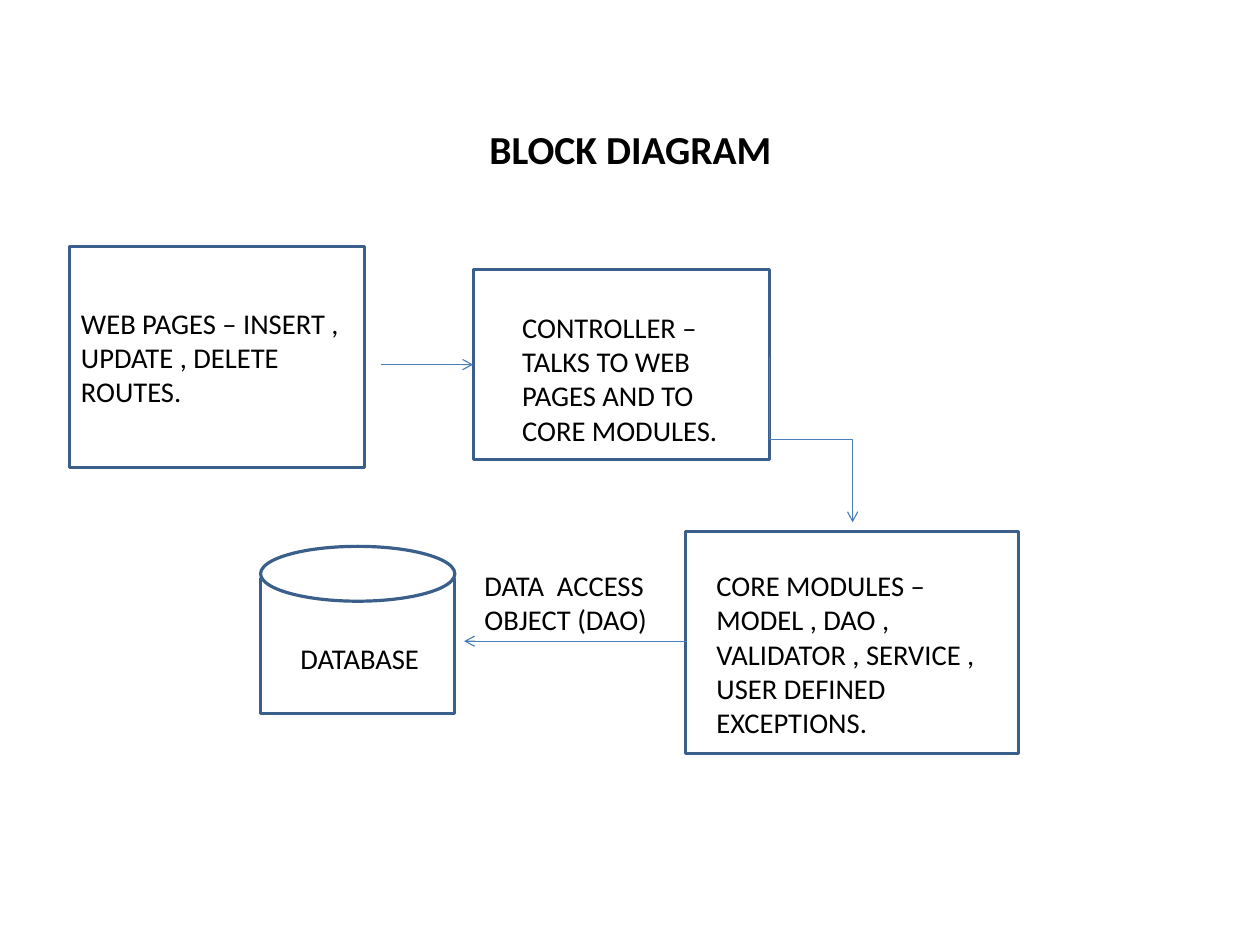
from lxml.etree import SubElement
from pptx import Presentation
from pptx.dml.color import RGBColor
from pptx.enum.shapes import MSO_CONNECTOR, MSO_SHAPE
from pptx.enum.text import MSO_ANCHOR, MSO_AUTO_SIZE, PP_ALIGN
from pptx.oxml.ns import qn
from pptx.util import Inches, Pt

CM_PER_INCH = 2.54
OUTLINE = "3A5F8B"
ARROW = "4A7EBB"


def paint(color_format, hex_color):
    """Set a colour from a hex string."""
    color_format.rgb = RGBColor.from_string(hex_color)


def write(holder, text, size=18, bold=False, color="000000", align=PP_ALIGN.LEFT,
          anchor=MSO_ANCHOR.TOP, inset=(0.1, 0.05), spacing=1.0):
    """Put formatted, wrapping text into a shape."""
    frame = holder.text_frame
    frame.word_wrap = True
    frame.auto_size = MSO_AUTO_SIZE.NONE
    frame.vertical_anchor = anchor
    frame.margin_left = frame.margin_right = Inches(inset[0])
    frame.margin_top = frame.margin_bottom = Inches(inset[1])
    paragraph = frame.paragraphs[0]
    paragraph.text = text
    paragraph.alignment = align
    paragraph.line_spacing = spacing
    for run in paragraph.runs:
        run.font.name = "Calibri"
        run.font.size = Pt(size)
        run.font.bold = bold
        paint(run.font.color, color)


def add_block(slide, box, kind=MSO_SHAPE.RECTANGLE):
    """Add a white outlined shape at left, top, width, height."""
    block = slide.shapes.add_shape(kind, *map(Inches, box))
    block.shadow.inherit = False
    block.fill.solid()
    paint(block.fill.fore_color, "FFFFFF")
    block.line.width = Pt(2)
    paint(block.line.color, OUTLINE)
    return block


def add_label(slide, box, text):
    """Add a text box at left, top, width, height."""
    write(slide.shapes.add_textbox(*map(Inches, box)), text)


def add_arrow(slide, start, end, kind=MSO_CONNECTOR.STRAIGHT, rotation=0):
    """Add a connector with an open arrowhead, turned by degrees."""
    arrow = slide.shapes.add_connector(kind, *map(Inches, start + end))
    arrow.line.width = Pt(0.75)
    paint(arrow.line.color, ARROW)
    properties = arrow._element.spPr
    if rotation:
        properties.find(qn("a:xfrm")).set("rot", str(rotation * 60000))
    SubElement(properties.find(qn("a:ln")), qn("a:tailEnd"), type="arrow")
    SubElement(properties, qn("a:effectLst"))


def add_title(slide, box, text):
    """Place and format the title placeholder."""
    title = slide.shapes.title
    title.left, title.top, title.width, title.height = map(Inches, box)
    write(title, text, size=25, bold=True, align=PP_ALIGN.CENTER,
          anchor=MSO_ANCHOR.MIDDLE, inset=(0, 0), spacing=1.02)


def main():
    """Build the block diagram slide."""
    deck = Presentation()
    deck.slide_width = Inches(28 / CM_PER_INCH)
    deck.slide_height = Inches(21 / CM_PER_INCH)
    slide = deck.slides.add_slide(deck.slide_layouts[5])
    add_title(slide, (0.79, 0.61, 9.45, 1.38), "BLOCK DIAGRAM")

    add_block(slide, (4.14, 2.36, 2.59, 1.66))
    add_label(slide, (4.47, 2.66, 2.18, 1.3),
              "CONTROLLER – \vTALKS TO WEB PAGES AND TO CORE MODULES.")
    add_arrow(slide, (3.33, 3.19), (4.14, 3.19))

    add_block(slide, (6, 4.65, 2.91, 1.94))
    add_label(slide, (6.17, 4.92, 2.59, 1.6),
              "CORE MODULES – MODEL , DAO , VALIDATOR , SERVICE , USER DEFINED EXCEPTIONS.")
    add_arrow(slide, (7.82, 3.48), (6.37, 4.21), MSO_CONNECTOR.ELBOW, rotation=270)

    add_block(slide, (2.28, 5.06, 1.7, 1.18))
    add_block(slide, (2.28, 4.78, 1.7, 0.48), MSO_SHAPE.OVAL)
    add_label(slide, (2.53, 5.56, 1.54, 0.4), "DATABASE")
    add_arrow(slide, (6.01, 5.61), (4.06, 5.61))
    add_label(slide, (4.14, 4.92, 1.7, 0.7), "DATA  ACCESS OBJECT (DAO)")

    web_pages = add_block(slide, (0.61, 2.16, 2.58, 1.93))
    write(web_pages, "WEB PAGES – INSERT , UPDATE , DELETE ROUTES.",
          anchor=MSO_ANCHOR.MIDDLE)
    deck.save("out.pptx")


if __name__ == "__main__":
    main()
